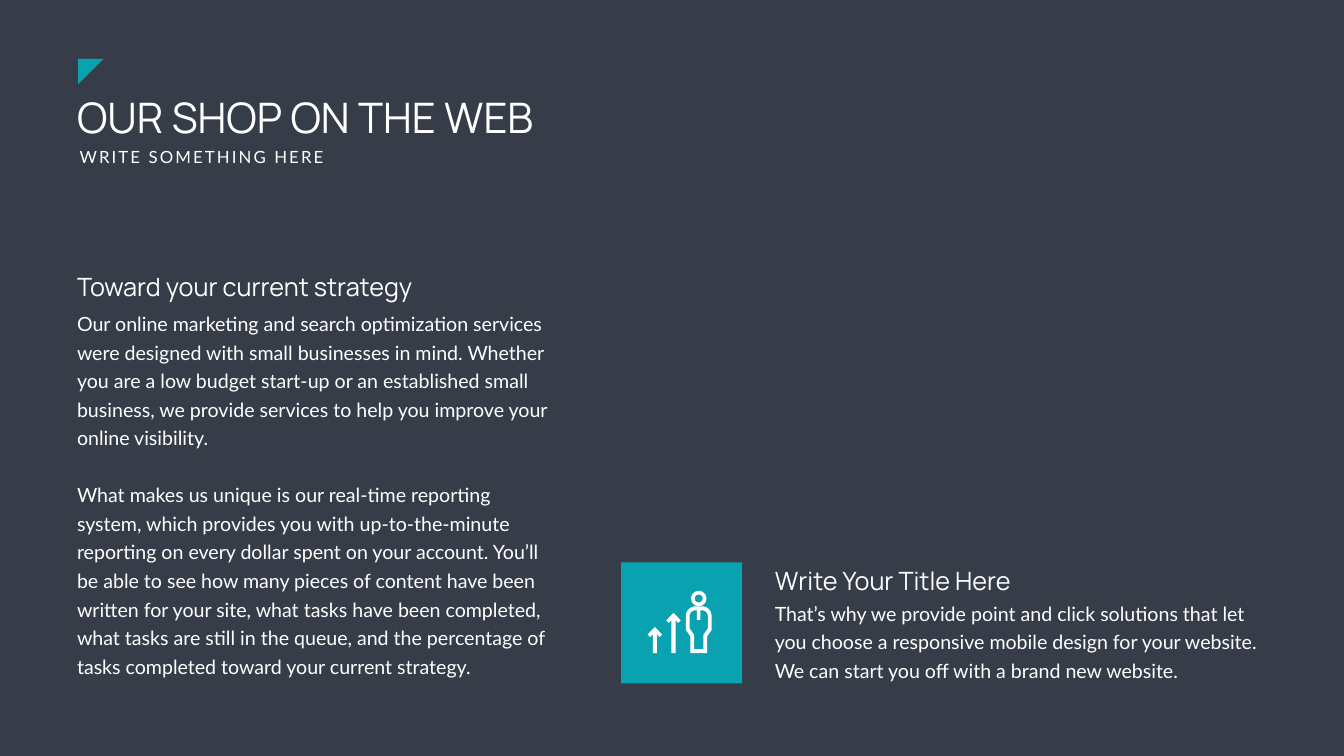
import math

from pptx import Presentation
from pptx.dml.color import RGBColor
from pptx.enum.shapes import MSO_SHAPE
from pptx.enum.text import MSO_AUTO_SIZE
from pptx.util import Inches, Pt

RECTANGLE = MSO_SHAPE.RECTANGLE
RIGHT_TRIANGLE = MSO_SHAPE.RIGHT_TRIANGLE
DONUT = MSO_SHAPE.DONUT
GROW = MSO_AUTO_SIZE.SHAPE_TO_FIT_TEXT

SLATE = RGBColor(0x36, 0x3D, 0x48)
TEAL = RGBColor(0x09, 0xA2, 0xB1)
WHITE = RGBColor(0xFF, 0xFF, 0xFF)

TITLE = {"name": "Manrope", "size": Pt(60)}
SUBTITLE = {"name": "Lato", "size": Pt(24)}
HEADING = {"name": "Manrope", "size": Pt(36)}
BODY = {"name": "Lato", "size": Pt(28)}
BODY_LINE = Pt(40.8)

STRATEGY = [
    "Our online marketing and search optimization services were designed with small "
    "businesses in mind. Whether you are a low budget start-up or an established small "
    "business, we provide services to help you improve your online visibility.",
    "What makes us unique is our real-time reporting system, which provides you with "
    "up-to-the-minute reporting on every dollar spent on your account. You’ll be able to "
    "see how many pieces of content have been written for your site, what tasks have been "
    "completed, what tasks are still in the queue, and the percentage of tasks completed "
    "toward your current strategy.",
]
WEBSITE = [
    "That’s why we provide point and click solutions that let you choose a responsive "
    "mobile design for your website. We can start you off with a brand new website.",
]

PERSON_X = 13.86
ICON_BOTTOM = 12.96


def add_text(slide, bounds, paragraphs, style, wrap=True, line=None, tracking=None):
    """Add a white text box; paragraphs after the first are set one line apart."""
    box = slide.shapes.add_textbox(*map(Inches, bounds))
    frame = box.text_frame
    frame.word_wrap = wrap
    frame.auto_size = GROW
    for index, text in enumerate(paragraphs):
        para = frame.add_paragraph() if index else frame.paragraphs[0]
        if line:
            para.line_spacing = line
        if index:
            para.space_before = line
        span = para.add_run()
        span.text = text
        for key, value in style.items():
            setattr(span.font, key, value)
        span.font.color.rgb = WHITE
        if tracking:
            span._r.get_or_add_rPr().set("spc", str(tracking))


def paint(shape, color):
    shape.shadow.inherit = False
    shape.fill.solid()
    shape.fill.fore_color.rgb = color
    shape.line.fill.background()


def add_preset(slide, kind, bounds, color):
    shape = slide.shapes.add_shape(kind, *map(Inches, bounds))
    paint(shape, color)
    return shape


def add_outline(slide, contours, color):
    """Fill closed contours as one shape, so that inner ones become holes."""
    contours = [[(Inches(x), Inches(y)) for x, y in points] for points in contours]
    builder = slide.shapes.build_freeform(*contours[0][0])
    for index, (start, *others) in enumerate(contours):
        if index:
            builder.move_to(*start)
        builder.add_line_segments(others, close=True)
    paint(builder.convert_to_shape(), color)


def mirror(center, right_half):
    """Complete a symmetric contour from (offset, y) points of its right half."""
    right = [(center + offset, y) for offset, y in right_half]
    left = [(center - offset, y) for offset, y in reversed(right_half)]
    return right + left


def torso_half(half, hip, radius, arm_y, hip_y, foot_y):
    """Trace from foot to rounded shoulder."""
    shoulder_y = 12.22
    angles = [math.radians(step * 7.5) for step in range(13)]
    shoulder = [(half - radius + radius * math.cos(angle),
                 shoulder_y - radius * math.sin(angle)) for angle in angles]
    return [(hip, foot_y), (hip, hip_y), (half, arm_y)] + shoulder


def add_person(slide):
    outer = torso_half(0.255, 0.165, 0.19, 12.5, 12.63, ICON_BOTTOM)
    inner = torso_half(0.18, 0.09, 0.11, 12.47, 12.6, ICON_BOTTOM - 0.08)
    collar = [(0.035, 12.11), (0.035, 12.3)]
    add_outline(slide, [mirror(PERSON_X, outer), mirror(PERSON_X, inner + collar)], WHITE)
    head = add_preset(slide, DONUT, (PERSON_X - 0.155, 11.72, 0.31, 0.31), WHITE)
    head.adjustments[0] = 0.24


def add_rising_arrow(slide, center, top):
    half = [(0, top), (0.145, top + 0.15), (0.09, top + 0.2),
            (0.04, top + 0.14), (0.04, ICON_BOTTOM)]
    add_outline(slide, [mirror(center, half)], WHITE)


def add_header(slide):
    add_text(slide, (1.43, 1.76, 17.29, 1.11), ["OUR SHOP ON THE WEB"], TITLE)
    add_text(slide, (1.48, 2.87, 5.14, 0.5), ["WRITE SOMETHING HERE"], SUBTITLE,
             wrap=False, tracking=300)
    corner = add_preset(slide, RIGHT_TRIANGLE, (1.55, 1.17, 0.5, 0.5), TEAL)
    corner.rotation = 90


def add_growth_icon(slide):
    add_preset(slide, RECTANGLE, (12.32, 11.16, 2.4, 2.4), TEAL)
    add_person(slide)
    add_rising_arrow(slide, 13.36, 12.16)
    add_rising_arrow(slide, 12.99, 12.44)


def main():
    deck = Presentation()
    deck.slide_width, deck.slide_height = Inches(26.66), Inches(15)
    slide = deck.slides.add_slide(deck.slide_layouts[6])
    slide.background.fill.solid()
    slide.background.fill.fore_color.rgb = SLATE

    add_header(slide)
    add_growth_icon(slide)
    add_text(slide, (15.27, 11.79, 10.06, 1.77), WEBSITE, BODY, line=BODY_LINE)
    add_text(slide, (15.27, 11.16, 5.3, 0.71), ["Write Your Title Here"], HEADING, wrap=False)
    add_text(slide, (1.43, 6.04, 9.53, 7.52), STRATEGY, BODY, line=BODY_LINE)
    add_text(slide, (1.43, 5.33, 7.74, 0.71), ["Toward your current strategy"], HEADING,
             wrap=False)

    deck.save("out.pptx")


if __name__ == "__main__":
    main()
